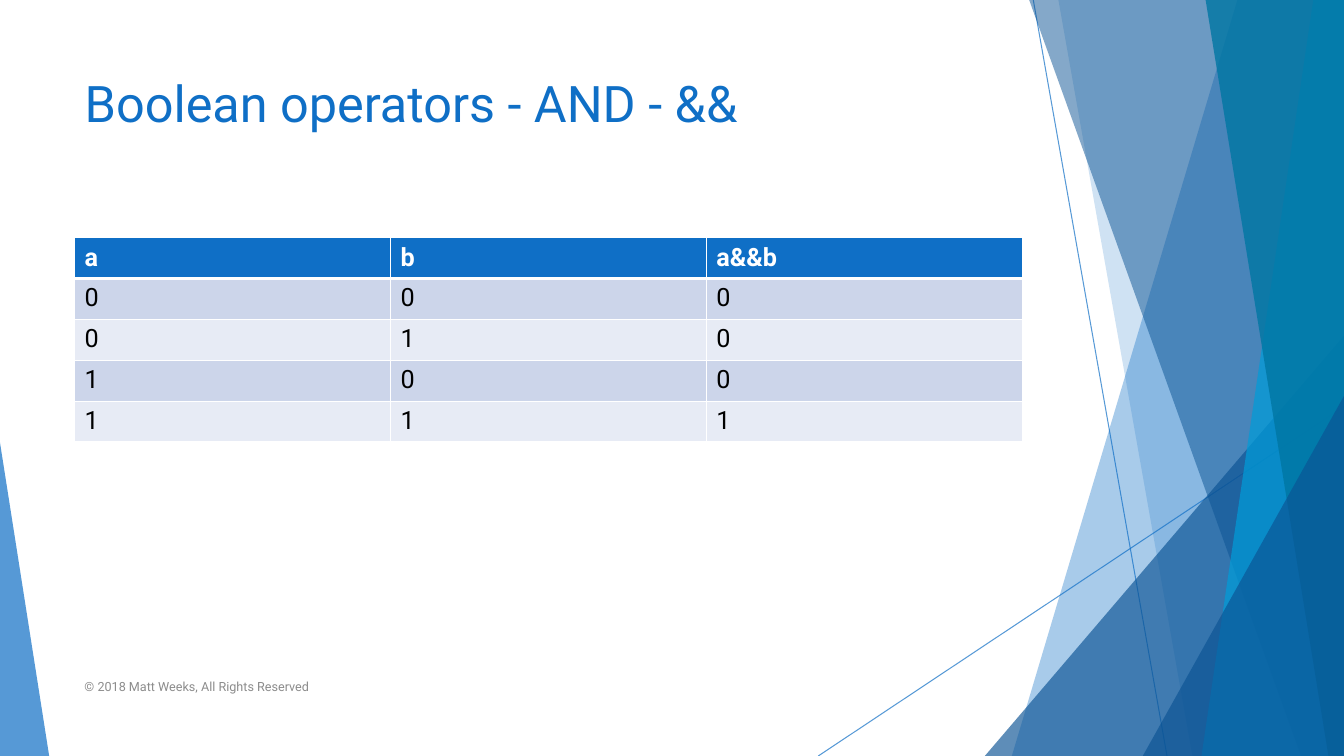
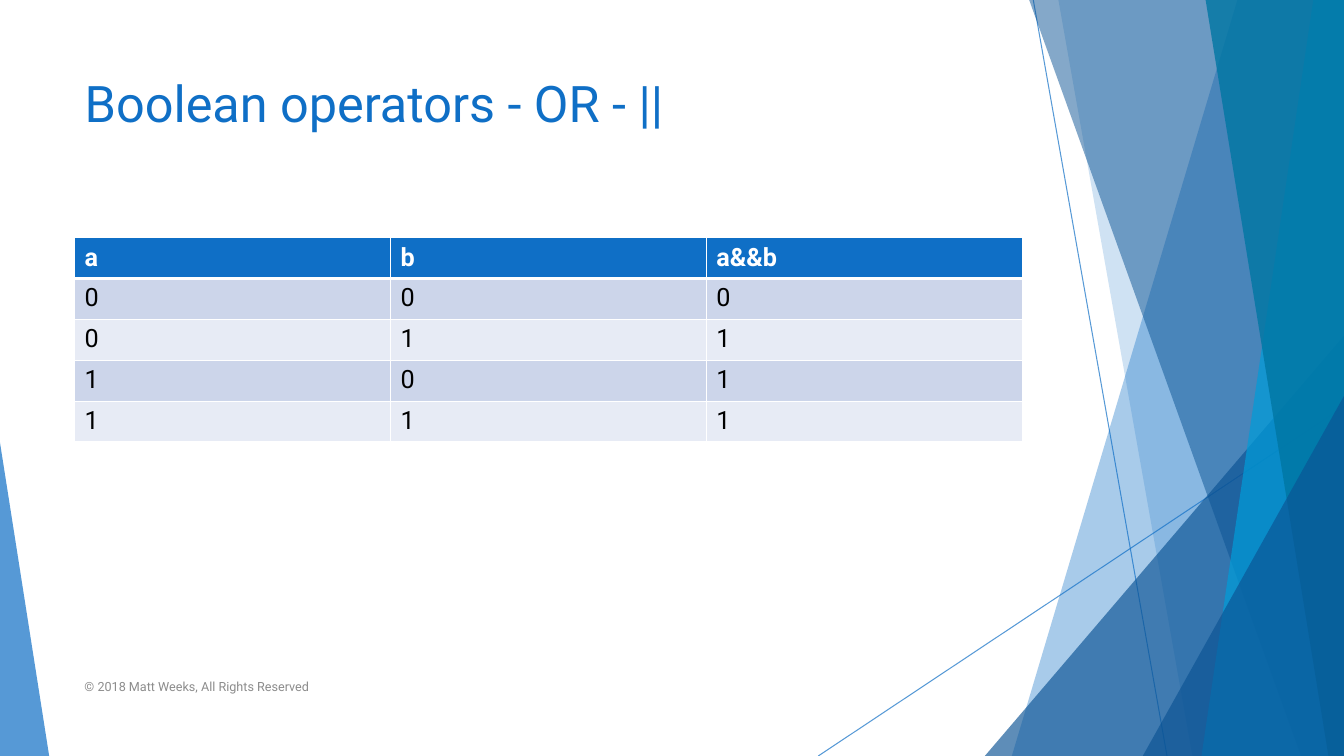
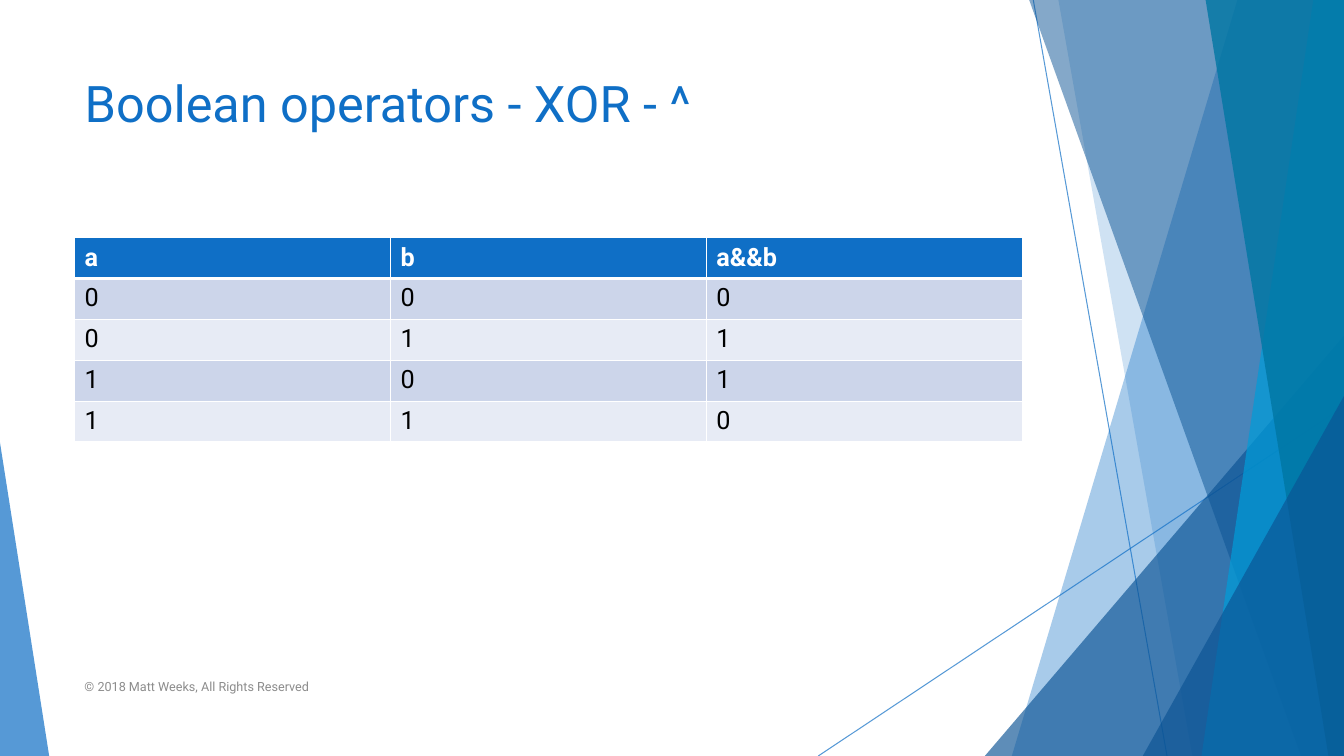
"""Three truth-table slides for the Boolean operators."""
from dataclasses import dataclass
from itertools import product
from typing import Callable

from pptx import Presentation
from pptx import util as u
from pptx.dml.color import RGBColor
from pptx.enum import shapes, text
from pptx.oxml import ns, xmlchemy

BLUE = RGBColor(0x0F, 0x6F, 0xC6)
NAVY = RGBColor(0x0B, 0x53, 0x94)
CYAN = RGBColor(0x00, 0x9D, 0xD9)
TEAL = RGBColor(0x00, 0x76, 0xA3)
DARK_ROW = RGBColor(0xCC, 0xD5, 0xEA)
LIGHT_ROW = RGBColor(0xE7, 0xEB, 0xF5)
GREY = RGBColor(0x8C, 0x8C, 0x8C)
WHITE = RGBColor(0xFF, 0xFF, 0xFF)
BLACK = RGBColor(0x00, 0x00, 0x00)

FONT = "Roboto"
WIDTH, HEIGHT = 33.87, 19.05
LEFT, CONTENT_WIDTH = 1.88, 23.88
TABLE_TOP, ROW_HEIGHT = 5.99, 1.03
BAND_TOP = -0.02
HEADINGS = ("a", "b", "a&&b")
FOOTER = "© 2018 Matt Weeks, All Rights Reserved"


@dataclass(frozen=True)
class Band:
    """A slanted band from its left edge to the right side of the slide."""
    top_x: float
    bottom_x: float
    color: RGBColor
    opacity: int


@dataclass(frozen=True)
class Wedge:
    """A right triangle standing on the bottom of the slide."""
    left: float
    top: float
    width: float
    apex: float
    color: RGBColor
    opacity: int


@dataclass(frozen=True)
class Ray:
    """A thin line between two points."""
    start: tuple[float, float]
    end: tuple[float, float]


@dataclass(frozen=True)
class Operator:
    """A Boolean operator with its title and rule."""
    title: str
    rule: Callable[[int, int], int]


RAYS = (
    Ray((26.04, 0), (29.41, HEIGHT)),
    Ray((WIDTH, 10.24), (20.62, HEIGHT)),
)
FACETS = (
    Band(31.19, 25.5, BLUE, 36),
    Band(26.67, 30.05, BLUE, 20),
    Wedge(24.82, 8.46, 9.05, 1, NAVY, 66),
    Band(25.93, 32.79, NAVY, 50),
    Band(33.1, 30.28, CYAN, 70),
    Band(30.38, 33.48, TEAL, 80),
    Wedge(28.8, 9.98, 5.07, 1, NAVY, 66),
    Wedge(0, 11.15, 1.24, 0, BLUE, 70),
)
OPERATORS = (
    Operator("Boolean operators - AND - &&", lambda a, b: a & b),
    Operator("Boolean operators - OR - ||", lambda a, b: a | b),
    Operator("Boolean operators - XOR - ^", lambda a, b: a ^ b),
)


def add_child(parent, tag: str, **attributes):
    """Append an XML element and return it."""
    child = xmlchemy.OxmlElement(tag)
    for name, value in attributes.items():
        child.set(name, str(value))
    parent.append(child)
    return child


def set_opacity(shape, percent: int) -> None:
    """Make the first solid colour of a shape see-through."""
    color = shape.element.spPr.find(".//" + ns.qn("a:srgbClr"))
    add_child(color, "a:alpha", val=percent * 1000)


def add_text(frame, content: str, size: float, color: RGBColor, bold: bool = False) -> None:
    """Write one left-aligned run into the first paragraph."""
    paragraph = frame.paragraphs[0]
    paragraph.alignment = text.PP_ALIGN.LEFT
    run = paragraph.add_run()
    run.text = content
    run.font.name = FONT
    run.font.size = u.Pt(size)
    run.font.bold = bold
    run.font.color.rgb = color


def draw_ray(slide, ray: Ray) -> None:
    """Draw one thin line without a shadow."""
    points = [u.Cm(value) for value in (*ray.start, *ray.end)]
    connector = slide.shapes.add_connector(shapes.MSO_CONNECTOR.STRAIGHT, *points)
    connector.line.color.rgb = BLUE
    connector.line.width = u.Pt(0.75)
    set_opacity(connector, 70)
    add_child(connector.element.spPr, "a:effectLst")


def draw_facet(slide, facet: Band | Wedge) -> None:
    """Draw one translucent band or wedge."""
    if isinstance(facet, Band):
        builder = slide.shapes.build_freeform(u.Cm(facet.top_x), u.Cm(BAND_TOP))
        corners = ((WIDTH, BAND_TOP), (WIDTH, HEIGHT), (facet.bottom_x, HEIGHT))
        builder.add_line_segments([(u.Cm(x), u.Cm(y)) for x, y in corners], close=True)
        shape = builder.convert_to_shape()
    else:
        shape = slide.shapes.add_shape(
            shapes.MSO_SHAPE.ISOSCELES_TRIANGLE, u.Cm(facet.left), u.Cm(facet.top),
            u.Cm(facet.width), u.Cm(HEIGHT - facet.top))
        shape.adjustments[0] = facet.apex
    shape.shadow.inherit = False
    shape.fill.solid()
    shape.fill.fore_color.rgb = facet.color
    shape.line.fill.background()
    set_opacity(shape, facet.opacity)


def draw_title(slide, content: str) -> None:
    """Place and fill the title placeholder."""
    title = slide.shapes.title
    title.left, title.top = u.Cm(LEFT), u.Cm(1.7)
    title.width, title.height = u.Cm(CONTENT_WIDTH), u.Cm(3.66)
    title.text_frame.vertical_anchor = text.MSO_ANCHOR.TOP
    title.text_frame.auto_size = text.MSO_AUTO_SIZE.NONE
    add_text(title.text_frame, content, 36, BLUE)


def draw_footer(slide) -> None:
    """Write the copyright line."""
    box = slide.shapes.add_textbox(u.Cm(LEFT), u.Cm(16.79), u.Cm(17.5), u.Cm(1.02))
    box.text_frame.word_wrap = True
    box.text_frame.vertical_anchor = text.MSO_ANCHOR.MIDDLE
    add_text(box.text_frame, FOOTER, 9, GREY)


def set_borders(cell, top: float, bottom: float) -> None:
    """Give a cell white borders, one point wide at the sides."""
    properties = cell._tc.get_or_add_tcPr()
    for side, width in (("L", 1), ("R", 1), ("T", top), ("B", bottom)):
        line = add_child(properties, f"a:ln{side}", w=u.Pt(width))
        fill = add_child(line, "a:solidFill")
        add_child(fill, "a:srgbClr", val=WHITE)


def draw_truth_table(slide, rule: Callable[[int, int], int]) -> None:
    """Draw the header and the four input rows with their results."""
    rows = [HEADINGS] + [(a, b, rule(a, b)) for a, b in product((0, 1), repeat=2)]
    table = slide.shapes.add_table(
        len(rows), len(HEADINGS), u.Cm(LEFT), u.Cm(TABLE_TOP),
        u.Cm(CONTENT_WIDTH), u.Cm(ROW_HEIGHT * len(rows))).table
    for row_index, values in enumerate(rows):
        header = row_index == 0
        row_color = BLUE if header else DARK_ROW if row_index % 2 else LIGHT_ROW
        for column_index, value in enumerate(values):
            cell = table.cell(row_index, column_index)
            set_borders(cell, top=3 if row_index == 1 else 1, bottom=3 if header else 1)
            cell.fill.solid()
            cell.fill.fore_color.rgb = row_color
            add_text(cell.text_frame, str(value), 18, WHITE if header else BLACK, header)


def build_slide(presentation, operator: Operator) -> None:
    """Build the slide of one operator."""
    slide = presentation.slides.add_slide(presentation.slide_layouts[5])
    for ray in RAYS:
        draw_ray(slide, ray)
    for facet in FACETS:
        draw_facet(slide, facet)
    draw_title(slide, operator.title)
    draw_truth_table(slide, operator.rule)
    draw_footer(slide)


def main() -> None:
    """Build and save the presentation."""
    presentation = Presentation()
    presentation.slide_width = u.Cm(WIDTH)
    presentation.slide_height = u.Cm(HEIGHT)
    for operator in OPERATORS:
        build_slide(presentation, operator)
    presentation.save("out.pptx")


main()
